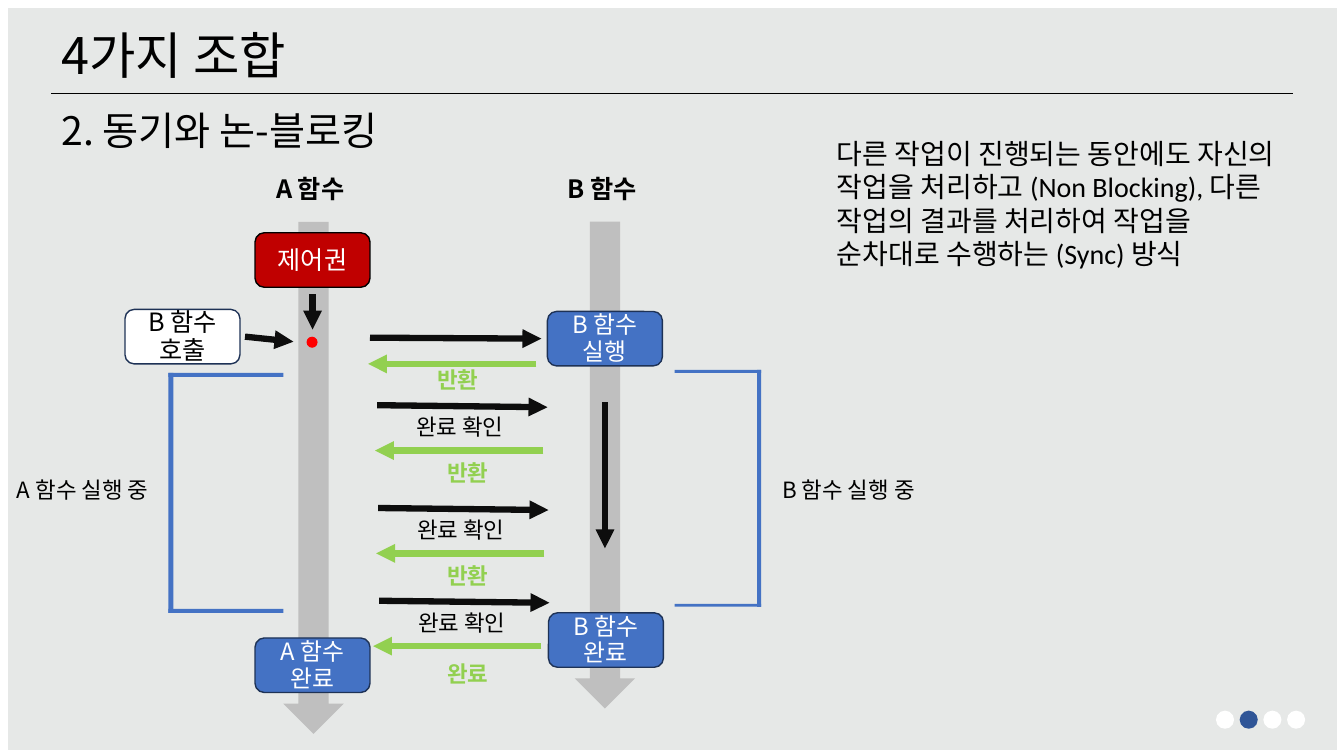
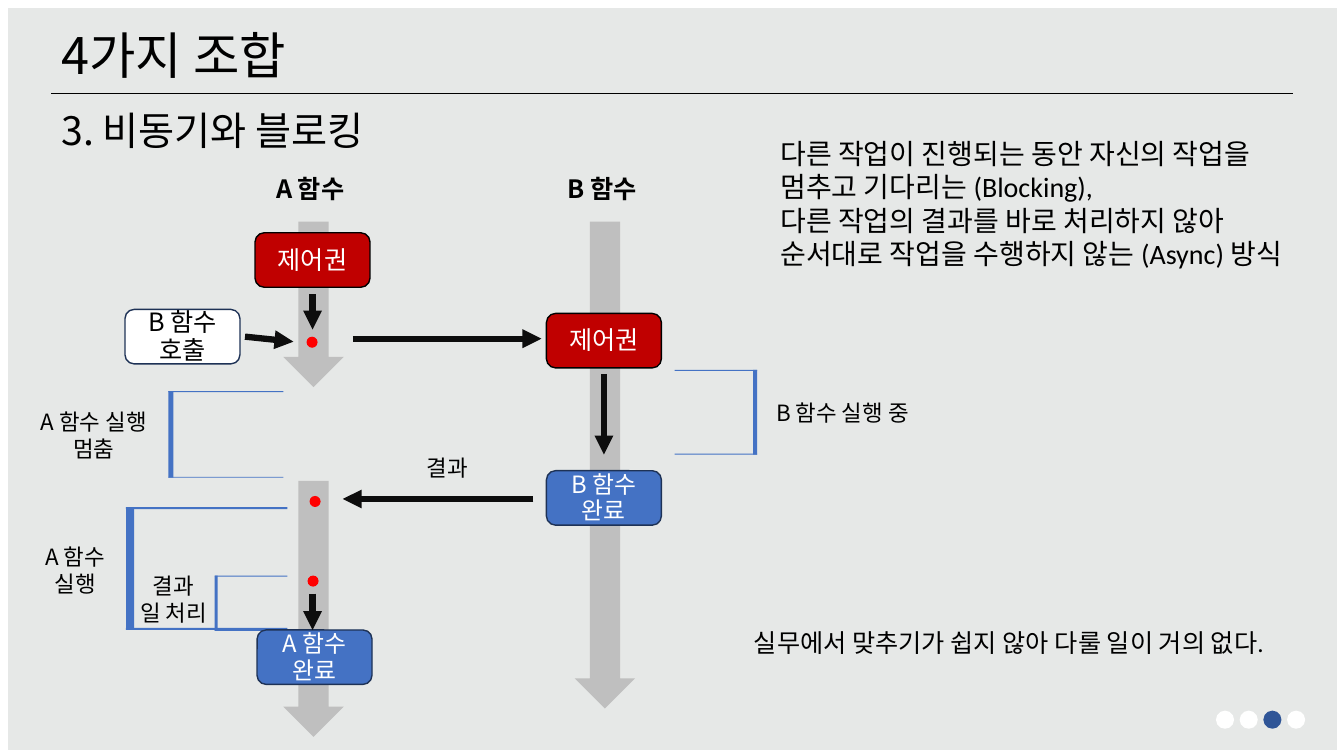
from lxml import etree
from pptx import Presentation
from pptx.dml.color import RGBColor
from pptx.enum.shapes import MSO_CONNECTOR, MSO_SHAPE
from pptx.enum.text import MSO_ANCHOR, MSO_AUTO_SIZE, PP_ALIGN
from pptx.oxml.ns import qn
from pptx.util import Inches, Pt

BLACK, INK, WHITE = "000000", "0D0D0D", "FFFFFF"
PANEL, LANE = "E6E8E7", "BFBFBF"
BLUE, NAVY, ACTIVE = "4472C4", "1E3256", "2F5597"
RED, DOT, GREEN = "C00000", "FF0000", "92D050"
KOREAN, LATIN = "Noto Sans CJK KR", "Calibri"


def rgb(color):
    return RGBColor.from_string(color)


class Deck:
    """Holds the style and the current slide."""

    def __init__(self):
        self.prs = Presentation()
        self.prs.slide_width = Inches(13.33)
        self.prs.slide_height = Inches(7.5)
        self.s = None

    # Basic elements
    def fill_text(self, tf, text, size, color=BLACK, bold=False,
                  align=PP_ALIGN.LEFT, font=KOREAN, spacing=1.2):
        for i, line in enumerate(text.split("\n")):
            p = tf.add_paragraph() if i else tf.paragraphs[0]
            p.text = line
            p.alignment = align
            p.line_spacing = Pt(round(size * spacing, 1))
            p.font.name = font
            p.font.size = Pt(size)
            p.font.bold = bold
            p.font.color.rgb = rgb(color)

    def shape(self, kind, x, y, w, h, fill, line=None):
        sp = self.s.shapes.add_shape(kind, Inches(x), Inches(y), Inches(w), Inches(h))
        sp.shadow.inherit = False
        sp.fill.solid()
        sp.fill.fore_color.rgb = rgb(fill)
        if line:
            sp.line.color.rgb = rgb(line)
            sp.line.width = Pt(1)
        else:
            sp.line.fill.background()
        return sp

    def text(self, x, y, w, h, text, size=16, **style):
        tf = self.s.shapes.add_textbox(Inches(x), Inches(y), Inches(w), Inches(h)).text_frame
        tf.word_wrap = True
        self.fill_text(tf, text, size, **style)

    def line(self, x1, y1, x2, y2, color=BLACK, width=0.5):
        sp = self.s.shapes.add_connector(
            MSO_CONNECTOR.STRAIGHT, Inches(x1), Inches(y1), Inches(x2), Inches(y2))
        sp.line.color.rgb = rgb(color)
        sp.line.width = Pt(width)
        etree.SubElement(sp._element.spPr, qn("a:effectLst"))
        return sp

    def arrow(self, x1, y1, x2, y2, color=INK):
        sp = self.line(x1, y1, x2, y2, color, 4.5)
        etree.SubElement(sp._element.spPr.find(qn("a:ln")), qn("a:tailEnd"), type="triangle")

    # Diagram elements
    def lane(self, x, y, h):
        self.shape(MSO_SHAPE.DOWN_ARROW, x, y, 0.6, h, LANE)

    def node(self, x, y, text, fill=BLUE, line=NAVY, color=WHITE, size=17):
        sp = self.shape(MSO_SHAPE.ROUNDED_RECTANGLE, x, y, 1.14, 0.54, fill, line)
        tf = sp.text_frame
        tf.word_wrap = True
        tf.vertical_anchor = MSO_ANCHOR.MIDDLE
        self.fill_text(tf, text, size, color, align=PP_ALIGN.CENTER, spacing=1.12)

    def control(self, x, y):
        self.node(x, y, "제어권", RED, BLACK, size=18)

    def dot(self, x, y):
        self.shape(MSO_SHAPE.OVAL, x, y, 0.11, 0.11, DOT)

    def bracket(self, x, y, w, h, spine, arm, right=False):
        spine_x = x + w - spine if right else x
        for bar in ((x, y, w, arm), (spine_x, y, spine, h), (x, y + h - arm, w, arm)):
            self.shape(MSO_SHAPE.RECTANGLE, *bar, BLUE)

    # Shared slide frame
    def slide(self, subtitle, page):
        self.s = self.prs.slides.add_slide(self.prs.slide_layouts[5])
        title = self.s.shapes.title
        panel = self.shape(MSO_SHAPE.RECTANGLE, 0.08, 0.08, 13.18, 7.36, PANEL)
        title._element.addprevious(panel._element)
        title.left, title.top = Inches(0.51), Inches(0.19)
        title.width, title.height = Inches(12.31), Inches(0.71)
        tf = title.text_frame
        tf.auto_size = MSO_AUTO_SIZE.NONE
        tf.vertical_anchor = MSO_ANCHOR.TOP
        self.fill_text(tf, "4가지 조합", 36)
        self.line(0.51, 0.93, 12.82, 0.93)
        self.text(0.51, 1.01, 6, 0.57, subtitle, 28)
        for i in range(4):
            self.shape(MSO_SHAPE.OVAL, 12.06 + i * 0.235, 7.05, 0.18, 0.18,
                       ACTIVE if i == page else WHITE)

    # Both lanes and the call that starts each diagram
    def call(self, lane_a_height):
        self.lane(2.81, 2.2, lane_a_height)
        self.lane(5.7, 2.2, 4.83)
        self.text(2.64, 1.67, 1.05, 0.4, "A 함수", 18, bold=True)
        self.text(5.53, 1.67, 1.05, 0.4, "B 함수", 18, bold=True)
        self.control(2.53, 2.31)
        self.node(1.24, 3.07, "B 함수 호출", WHITE, color=BLACK, size=18)
        self.arrow(2.43, 3.34, 2.91, 3.39)
        self.arrow(3.1, 2.92, 3.1, 3.27)
        self.dot(3.04, 3.34)


def sync_non_blocking(deck):
    deck.slide("2. 동기와 논-블로킹", 1)
    deck.text(8.2, 1.3, 4.62, 1.45,
              "다른 작업이 진행되는 동안에도 자신의 작업을 처리하고 (Non Blocking), "
              "다른 작업의 결과를 처리하여 작업을 순차대로 수행하는 (Sync) 방식",
              20, font=LATIN)
    deck.call(5.08)

    # Running periods
    deck.text(0.07, 4.67, 1.83, 0.37, "A 함수 실행 중")
    deck.bracket(1.67, 3.7, 1.14, 2.38, 0.05, 0.04)
    deck.text(7.66, 4.67, 1.71, 0.37, "B 함수 실행 중")
    deck.bracket(6.69, 3.67, 0.86, 2.35, 0.04, 0.03, right=True)
    deck.node(5.43, 3.09, "B 함수 실행")
    deck.arrow(6, 3.99, 6, 5.44)
    deck.node(5.44, 6.08, "B 함수 완료")
    deck.node(2.53, 6.33, "A 함수 완료")

    # First call, then three checks for completion
    deck.arrow(3.67, 3.35, 5.37, 3.36)
    deck.arrow(5.32, 3.61, 3.65, 3.61, GREEN)
    deck.text(4.24, 3.58, 0.64, 0.37, "반환", color=GREEN, bold=True)
    for x, y, reply_x, reply_y, reply in (
            (3.74, 4.02, 5.39, 4.51, "반환"),
            (3.75, 5.04, 5.4, 5.53, "반환"),
            (3.76, 5.96, 5.37, 6.5, "완료")):
        deck.arrow(x, y, x + 1.69, y + 0.02)
        deck.text(x + 0.29, y + 0.03, 1.26, 0.37, "완료 확인")
        deck.arrow(reply_x, y + 0.45, reply_x - 1.67, y + 0.45, GREEN)
        deck.text(4.34, reply_y, 0.64, 0.37, reply, color=GREEN, bold=True)


def async_blocking(deck):
    center = PP_ALIGN.CENTER
    deck.slide("3. 비동기와 블로킹", 2)
    deck.text(7.64, 1.3, 5.18, 1.78,
              "다른 작업이 진행되는 동안 자신의 작업을 멈추고 기다리는 (Blocking),\n"
              "다른 작업의 결과를 바로 처리하지 않아 순서대로 작업을 수행하지 않는 (Async) 방식",
              20, font=LATIN)
    deck.text(7.38, 6.17, 5.66, 0.4,
              "실무에서 맞추기가 쉽지 않아 다룰 일이 거의 없다.", 18, font=LATIN)
    deck.call(1.64)
    deck.lane(2.81, 4.77, 2.54)

    # B takes control while A waits
    deck.arrow(3.5, 3.36, 5.37, 3.36)
    deck.control(5.42, 3.11)
    deck.arrow(5.99, 3.71, 5.99, 4.51)
    deck.node(5.42, 4.67, "B 함수 완료")
    deck.bracket(6.69, 3.67, 0.82, 0.84, 0.04, 0.01, right=True)
    deck.text(7.6, 3.91, 1.71, 0.37, "B 함수 실행 중")
    deck.bracket(1.67, 3.88, 1.14, 0.86, 0.05, 0.01)
    deck.text(0.21, 4, 1.44, 0.64, "A 함수 실행\n멈춤", align=center)

    # A resumes with the result
    deck.arrow(5.29, 4.95, 3.4, 4.95)
    deck.text(3.52, 4.46, 1.83, 0.37, "결과", align=center)
    deck.bracket(1.25, 5.03, 1.6, 1.22, 0.08, 0.02)
    deck.text(0.25, 5.34, 0.99, 0.64, "A 함수\n실행", align=center)
    deck.dot(3.07, 4.92)
    deck.dot(3.05, 5.71)
    deck.bracket(2.13, 5.71, 0.72, 0.55, 0.03, 0.01)
    deck.text(1.24, 5.63, 0.96, 0.64, "결과\n일 처리", align=center)
    deck.node(2.55, 6.25, "A 함수 완료")
    deck.arrow(3.1, 5.89, 3.1, 6.25)


def main():
    deck = Deck()
    sync_non_blocking(deck)
    async_blocking(deck)
    deck.prs.save("out.pptx")


if __name__ == "__main__":
    main()
